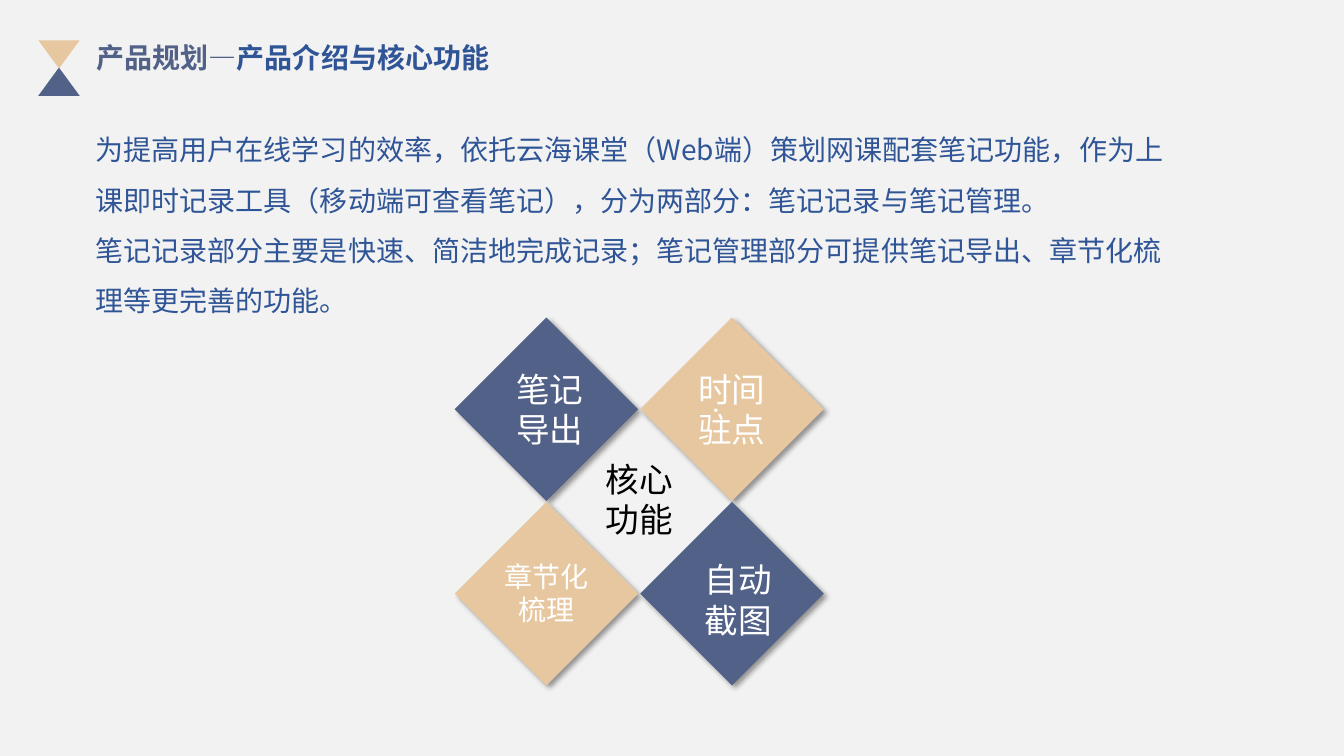
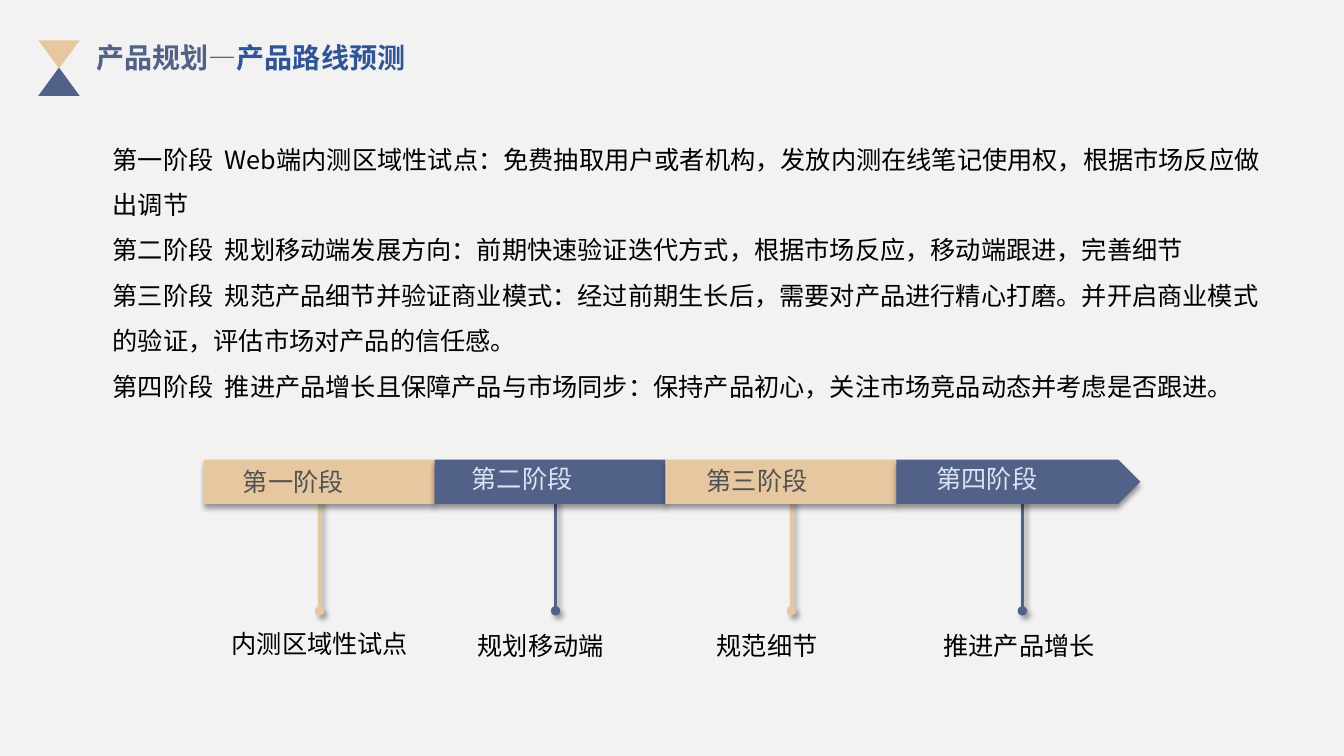
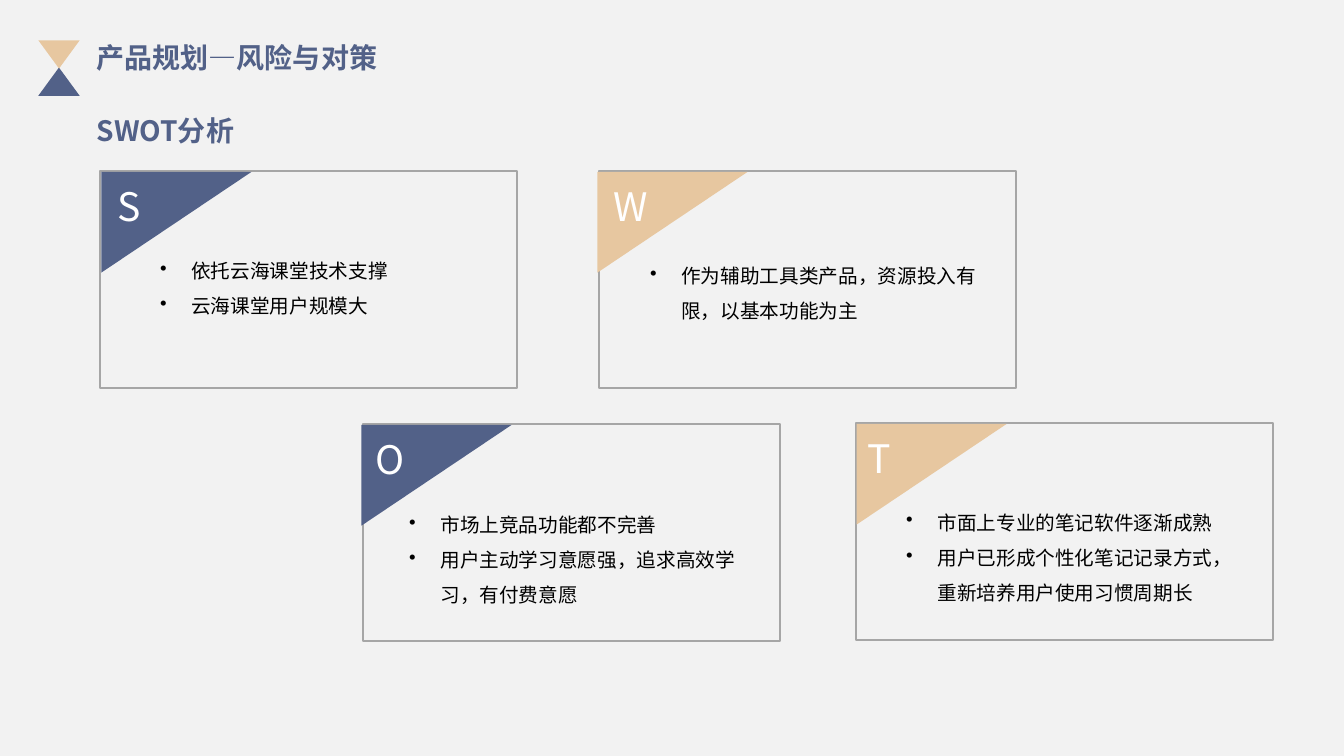
import lxml.etree
import pptx
import pptx.dml.color
import pptx.enum.shapes
import pptx.enum.text
import pptx.oxml.ns
import pptx.util

Inches = pptx.util.Inches
Pt = pptx.util.Pt
Shape = pptx.enum.shapes.MSO_SHAPE
Align = pptx.enum.text.PP_ALIGN
RGBColor = pptx.dml.color.RGBColor
qn = pptx.oxml.ns.qn


class Theme:
    background = RGBColor.from_string("F2F2F2")
    navy = RGBColor.from_string("526188")
    sand = RGBColor.from_string("E7C7A0")
    blue = RGBColor.from_string("2F5597")
    pale = RGBColor.from_string("DAE3F3")
    gray = RGBColor.from_string("525252")
    border = RGBColor.from_string("A6A6A6")
    white = RGBColor.from_string("FFFFFF")
    black = RGBColor.from_string("000000")
    font = "Noto Sans CJK SC"
    letter_font = "Noto Sans CJK JP"
    title_size = 20
    feature_size = 24
    body_size = 18
    bullet_size = 14
    letter_size = 28


def paint(shape, fill=None, line=None, width=1, shadow_angle=None):
    """Set fill, outline and shadow; a connector has only the last two."""
    if fill is not None:
        shape.fill.solid()
        shape.fill.fore_color.rgb = fill
    elif hasattr(shape, "fill"):
        shape.fill.background()
    if line is not None:
        shape.line.color.rgb = line
        shape.line.width = Pt(width)
    else:
        shape.line.fill.background()
    effects = lxml.etree.SubElement(shape._element.spPr, qn("a:effectLst"))
    if shadow_angle is not None:
        shadow = lxml.etree.SubElement(
            effects, qn("a:outerShdw"), blurRad=str(Pt(4)), dist=str(Pt(3)),
            dir=str(shadow_angle * 60000), algn="tl", rotWithShape="0")
        color = lxml.etree.SubElement(shadow, qn("a:srgbClr"), val=str(Theme.black))
        lxml.etree.SubElement(color, qn("a:alpha"), val="40000")


def add_text(slide, box, paragraphs, size, colors=(Theme.black,), align=Align.LEFT,
             bold=False, spacing=None, bullets=False, font=Theme.font):
    """Add a text box; each paragraph is a list of runs, coloured in turn."""
    frame = slide.shapes.add_textbox(*map(Inches, box)).text_frame
    frame.word_wrap = True
    frame.auto_size = pptx.enum.text.MSO_AUTO_SIZE.SHAPE_TO_FIT_TEXT
    for index, runs in enumerate(paragraphs):
        paragraph = frame.add_paragraph() if index else frame.paragraphs[0]
        paragraph.alignment = align
        if spacing:
            paragraph.line_spacing = spacing
        if bullets:
            properties = paragraph._p.get_or_add_pPr()
            properties.set("marL", str(Inches(0.31)))
            properties.set("indent", str(-Inches(0.31)))
            lxml.etree.SubElement(properties, qn("a:buChar"), char="•")
        for text, color in zip(runs, colors):
            run = paragraph.add_run()
            run.text = text
            run.font.size = Pt(size)
            run.font.bold = bold
            run.font.name = font
            run.font.color.rgb = color
            lxml.etree.SubElement(run._r.get_or_add_rPr(), qn("a:ea"), typeface=font)


presentation = pptx.Presentation()
presentation.slide_width = Inches(13.33)
presentation.slide_height = Inches(7.5)

# Background, hourglass mark and title of every slide
titles = [
    (["产品规划—", "产品介绍与核心功能"], 5.17),
    (["产品规划—", "产品路线预测"], 4.26),
    (["产品规划—风险与对策"], 3.91),
]
slides = []
for title, title_width in titles:
    slide = presentation.slides.add_slide(presentation.slide_layouts[6])
    slide.background.fill.solid()
    slide.background.fill.fore_color.rgb = Theme.background
    for top, rotation, color in [(0.67, 0, Theme.navy), (0.4, 180, Theme.sand)]:
        triangle = slide.shapes.add_shape(
            Shape.ISOSCELES_TRIANGLE, Inches(0.38), Inches(top), Inches(0.41), Inches(0.28))
        triangle.rotation = rotation
        paint(triangle, color)
    add_text(slide, (0.86, 0.35, title_width, 0.44), [title], Theme.title_size,
             (Theme.navy, Theme.blue), Align.JUSTIFY, bold=True)
    slides.append(slide)
features_slide, roadmap_slide, swot_slide = slides

# Core features: diamonds in a two by two grid
diamond_colors = [Theme.navy, Theme.sand, Theme.sand, Theme.navy]
for index, color in enumerate(diamond_colors):
    row, column = divmod(index, 2)
    diamond = features_slide.shapes.add_shape(
        Shape.DIAMOND, Inches(4.51 + 1.84 * column), Inches(3.15 + 1.83 * row),
        Inches(1.82), Inches(1.82))
    paint(diamond, color, shadow_angle=45)
dot = features_slide.shapes.add_shape(
    Shape.OVAL, Inches(7.09), Inches(4.06), Inches(0.02), Inches(0.02))
paint(dot, Theme.white, Theme.white)

# Core features: introduction and labels
introduction = [
    ["为提高用户在线学习的效率，依托云海课堂（Web端）策划网课配套笔记功能，作为上课即时记录工具"
     "（移动端可查看笔记），分为两部分：笔记记录与笔记管理。"],
    ["笔记记录部分主要是快速、简洁地完成记录；笔记管理部分可提供笔记导出、章节化梳理等更完善的功能。"],
]
add_text(features_slide, (0.85, 1.1, 11.03, 2.12), introduction, Theme.title_size,
         (Theme.blue,), spacing=1.5)
feature_labels = [
    ((6.78, 5.5, 1.08, 0.91), [["自动截图"]], Theme.feature_size, Theme.white),
    ((6.54, 3.61, 1.44, 0.91), [["时间"], ["驻点"]], Theme.feature_size, Theme.white),
    ((4.88, 5.5, 1.08, 0.77), [["章节化梳理"]], Theme.title_size, Theme.white),
    ((4.88, 3.61, 1.15, 0.91), [["笔记"], ["导出"]], Theme.feature_size, Theme.white),
    ((5.9, 4.5, 0.88, 0.91), [["核心功能"]], Theme.feature_size, Theme.black),
]
for box, label, size, color in feature_labels:
    add_text(features_slide, box, label, size, (color,), Align.CENTER)

# Roadmap: pins, then the bar that covers their upper ends
bar_colors = [Theme.sand, Theme.navy, Theme.sand, Theme.navy]
for pin_left, color in zip([3.17, 5.51, 7.85, 10.14], bar_colors):
    pin = roadmap_slide.shapes.add_connector(
        pptx.enum.shapes.MSO_CONNECTOR.STRAIGHT,
        Inches(pin_left), Inches(4.8), Inches(pin_left), Inches(6.06))
    paint(pin, line=color, width=2.25, shadow_angle=45)
    lxml.etree.SubElement(pin.line._get_or_add_ln(), qn("a:tailEnd"), type="oval")
for index, color in enumerate(bar_colors):
    is_last = index == len(bar_colors) - 1
    segment = roadmap_slide.shapes.add_shape(
        Shape.PENTAGON if is_last else Shape.RECTANGLE,
        Inches(2.02 + 2.29 * index), Inches(4.56),
        Inches(2.42 if is_last else 2.29), Inches(0.44))
    paint(segment, color, shadow_angle=90)

# Roadmap: stage names, goals and explanation
stages = [
    ("第一阶段", 2.31, 4.58, Theme.gray, "内测区域性试点", 2.2, 6.18, 1.96),
    ("第二阶段", 4.58, 4.55, Theme.pale, "规划移动端", 4.64, 6.2, 1.78),
    ("第三阶段", 6.91, 4.57, Theme.gray, "规范细节", 7.01, 6.2, 1.78),
    ("第四阶段", 9.19, 4.55, Theme.pale, "推进产品增长", 9.26, 6.2, 1.78),
]
for name, name_left, name_top, color, goal, goal_left, goal_top, goal_width in stages:
    add_text(roadmap_slide, (name_left, name_top, 1.78, 0.4), [[name]],
             Theme.body_size, (color,), Align.JUSTIFY)
    add_text(roadmap_slide, (goal_left, goal_top, goal_width, 0.4), [[goal]],
             Theme.body_size, align=Align.JUSTIFY)
explanation = [
    ["第一阶段  Web端内测区域性试点：免费抽取用户或者机构，发放内测在线笔记使用权，根据市场反应做出调节"],
    ["第二阶段  规划移动端发展方向：前期快速验证迭代方式，根据市场反应，移动端跟进，完善细节"],
    ["第三阶段  规范产品细节并验证商业模式：经过前期生长后，需要对产品进行精心打磨。"
     "并开启商业模式的验证，评估市场对产品的信任感。"],
    ["第四阶段  推进产品增长且保障产品与市场同步：保持产品初心，关注市场竞品动态并考虑是否跟进。"],
]
add_text(roadmap_slide, (1.02, 1.23, 11.68, 2.8), explanation, Theme.body_size, spacing=1.5)

# SWOT: heading and four cards, each with a corner, a letter and bullets
add_text(swot_slide, (0.86, 1.08, 4.72, 0.44), [["SWOT分析"]], Theme.title_size,
         (Theme.navy,), bold=True)
cards = [
    ("S", 0.99, 1.7, Theme.navy, 1.25, 1.07, (1.49, 2.4, 3.54, 0.81),
     [["依托云海课堂技术支撑"], ["云海课堂用户规模大"]]),
    ("O", 3.6, 4.21, Theme.navy, 3.83, 3.63, (3.96, 4.92, 3.54, 1.16),
     [["市场上竞品功能都不完善"], ["用户主动学习意愿强，追求高效学习，有付费意愿"]]),
    ("W", 5.94, 1.7, Theme.sand, 6.17, 5.99, (6.35, 2.45, 3.54, 0.81),
     [["作为辅助工具类产品，资源投入有限，以基本功能为主"]]),
    ("T", 8.49, 4.2, Theme.sand, 8.74, 8.51, (8.89, 4.9, 3.54, 1.16),
     [["市面上专业的笔记软件逐渐成熟"], ["用户已形成个性化笔记记录方式，重新培养用户使用习惯周期长"]]),
]
for letter, left, top, color, corner_left, letter_left, bullet_box, points in cards:
    card = swot_slide.shapes.add_shape(
        Shape.RECTANGLE, Inches(left), Inches(top), Inches(4.14), Inches(2.15))
    paint(card, line=Theme.border, width=1.5)
    corner = swot_slide.shapes.add_shape(
        Shape.RIGHT_TRIANGLE, Inches(corner_left), Inches(top - 0.24), Inches(1), Inches(1.49))
    corner.rotation = 90
    paint(corner, color)
    add_text(swot_slide, (letter_left, top + 0.06, 1.52, 0.57), [[letter]],
             Theme.letter_size, (Theme.white,), font=Theme.letter_font)
    add_text(swot_slide, bullet_box, points, Theme.bullet_size, spacing=1.5, bullets=True)

presentation.save("out.pptx")
